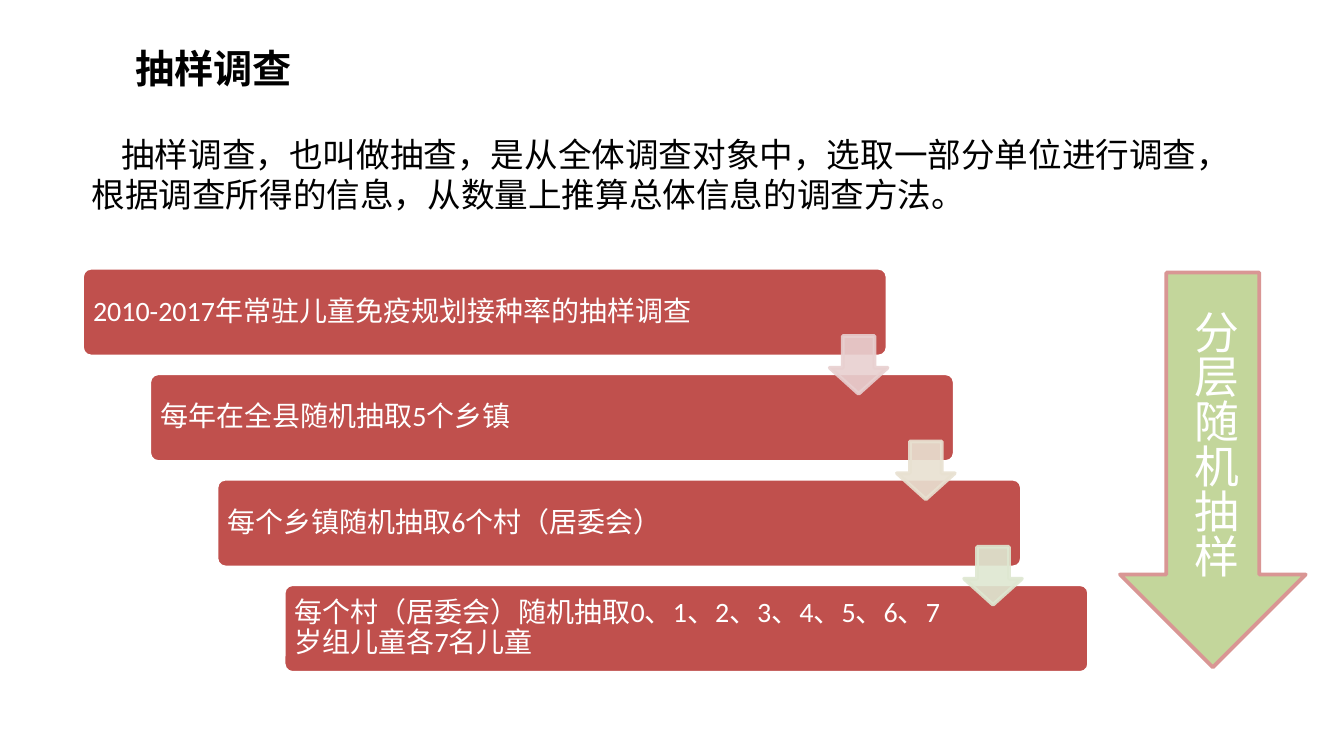
from lxml.etree import SubElement
from pptx import Presentation
from pptx.dml.color import RGBColor
from pptx.enum.shapes import MSO_SHAPE
from pptx.enum.text import MSO_ANCHOR, PP_ALIGN
from pptx.oxml.ns import qn
from pptx.util import Pt

PX = 6350
CJK = "Noto Sans CJK SC"
COLORS = {"text": "000000", "white": "FFFFFF", "row": "C0504D",
          "arrow": "C3D69B", "arrow_line": "D99694"}
STEP_COLORS = ["E8D0D0", "E8E1D1", "DEE7D1"]
ROWS = ["2010-2017年常驻儿童免疫规划接种率的抽样调查",
        "每年在全县随机抽取5个乡镇",
        "每个乡镇随机抽取6个村（居委会）",
        "每个村（居委会）随机抽取0、1、2、3、4、5、6、7岁组儿童各7名儿童"]


def write(tf, text, size, color, font, insets, bold=False, wrap=True,
          anchor=MSO_ANCHOR.TOP):
    left, top, right, bottom = [v * PX for v in insets]
    frame = {"margin_left": left, "margin_top": top, "margin_right": right,
             "margin_bottom": bottom, "word_wrap": wrap, "vertical_anchor": anchor}
    for name, value in frame.items():
        setattr(tf, name, value)
    p = tf.paragraphs[0]
    p.alignment = PP_ALIGN.LEFT
    r = p.add_run()
    r.text = text
    for name, value in {"size": Pt(size), "bold": bold, "name": font}.items():
        setattr(r.font, name, value)
    r.font.color.rgb = RGBColor.from_string(color)
    SubElement(r.font._element, qn("a:ea")).set("typeface", CJK)
    return p


def add_block(kind, box, fill, line, adjustments=()):
    sp = s.shapes.add_shape(kind, *[v * PX for v in box])
    sp.shadow.inherit = False
    sp.fill.solid()
    sp.fill.fore_color.rgb = RGBColor.from_string(fill)
    sp.line.color.rgb = RGBColor.from_string(line)
    sp.line.width = Pt(2)
    for i, value in enumerate(adjustments):
        sp.adjustments[i] = value
    return sp


prs = Presentation()
prs.slide_width, prs.slide_height = 1440 * PX, 810 * PX
s = prs.slides.add_slide(prs.slide_layouts[5])

title = s.shapes.title
place = {"left": 135, "top": 43, "width": 193, "height": 62}
for name, value in place.items():
    setattr(title, name, value * PX)
write(title.text_frame, "抽样调查", 21, COLORS["text"], CJK, (10, 5, 10, 5),
      bold=True, wrap=False)

intro = s.shapes.add_textbox(88 * PX, 138 * PX, 1221 * PX, 98 * PX)
p = write(intro.text_frame,
          "抽样调查，也叫做抽查，是从全体调查对象中，选取一部分单位进行调查，"
          "根据调查所得的信息，从数量上推算总体信息的调查方法。",
          18, COLORS["text"], CJK, (10, 5, 10, 5))
p._p.get_or_add_pPr().set("indent", str(32 * PX))

row_x, row_y, row_w, row_h = 88, 287, 863, 95
step_x, step_y, arrow_size = 72, 113, 62
for i, text in enumerate(ROWS):
    box = (row_x + i * step_x, row_y + i * step_y, row_w, row_h)
    sp = add_block(MSO_SHAPE.ROUNDED_RECTANGLE, box, COLORS["row"],
                   COLORS["white"], [0.1])
    p = write(sp.text_frame, text, 15, COLORS["white"], "Calibri",
              (9, 9, 143, 9), anchor=MSO_ANCHOR.MIDDLE)
    p.line_spacing = 0.9

for i, color in enumerate(STEP_COLORS):
    box = (row_x + i * step_x + row_w - arrow_size, 360 + i * step_y,
           arrow_size, arrow_size)
    sp = add_block(MSO_SHAPE.DOWN_ARROW, box, color, color, [0.55, 0.45])
    for clr in sp._element.spPr.iter(qn("a:srgbClr")):
        SubElement(clr, qn("a:alpha")).set("val", "90000")

add_block(MSO_SHAPE.DOWN_ARROW, (1200, 292, 199, 423), COLORS["arrow"],
          COLORS["arrow_line"])
label = s.shapes.add_textbox(1257 * PX, 325 * PX, 88 * PX, 328 * PX)
write(label.text_frame, "分层随机抽样", 24, COLORS["white"], "Calibri",
      (14, 7, 14, 7))
label.text_frame._txBody.bodyPr.set("vert", "eaVert")

prs.save("out.pptx")
